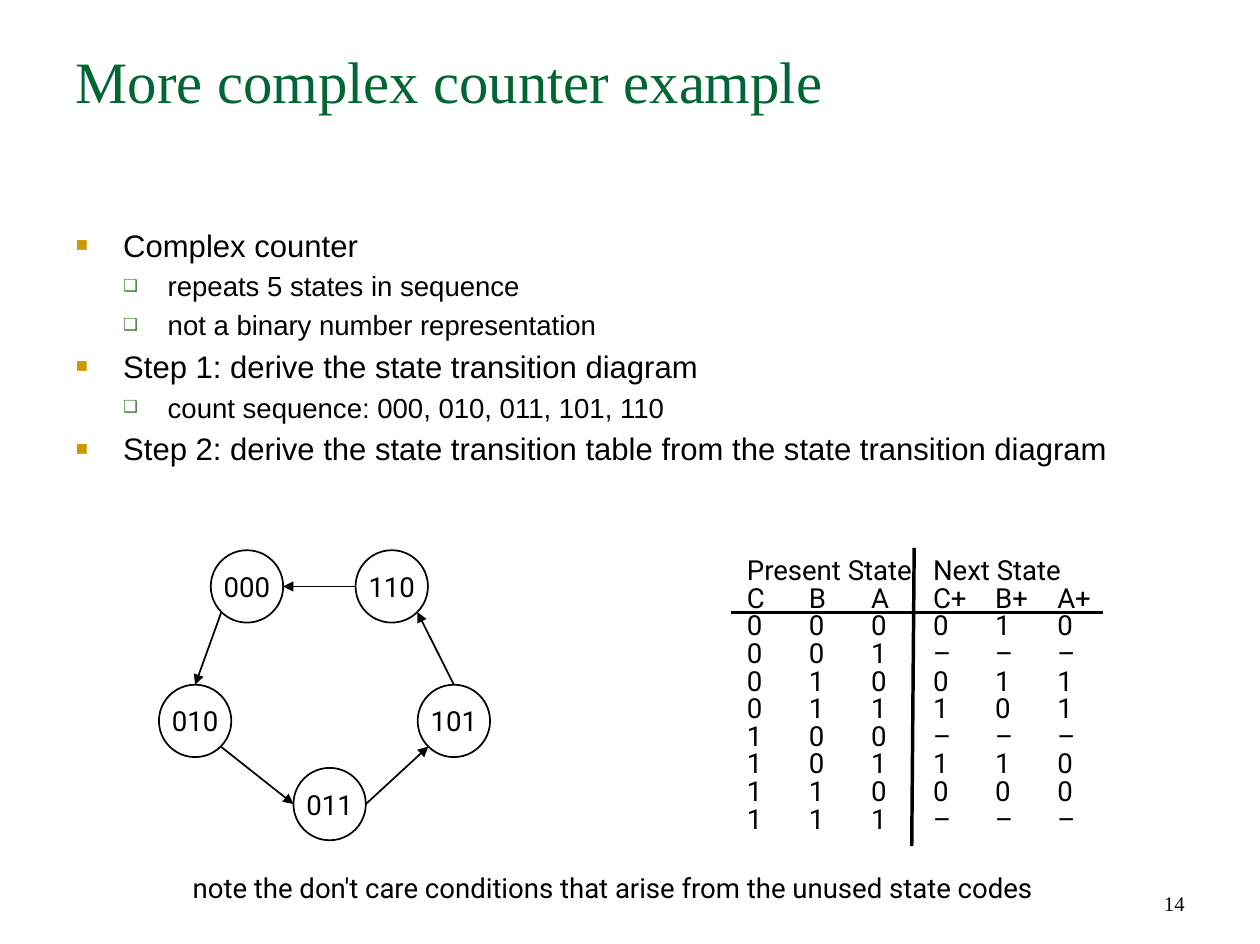
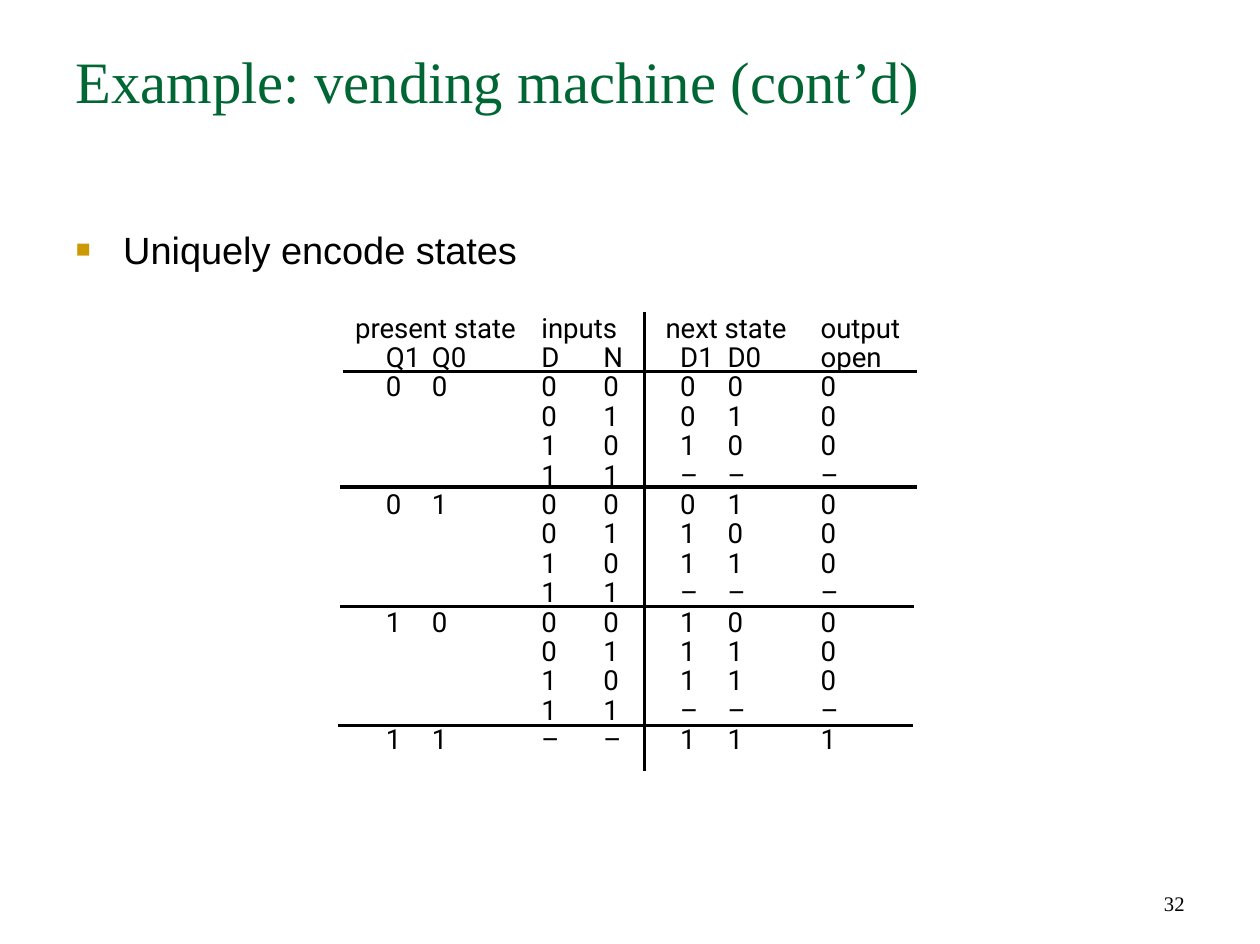
import math

import pptx
import pptx.dml.color
import pptx.enum.shapes
import pptx.enum.text
import pptx.oxml
import pptx.oxml.ns
import pptx.util

Cm, Pt = pptx.util.Cm, pptx.util.Pt
ALIGN = pptx.enum.text.PP_ALIGN
ANCHOR = pptx.enum.text.MSO_ANCHOR
NAMESPACE = pptx.oxml.ns.nsdecls("a")

BLACK = "000000"
TITLE_FONT = {"name": "Times New Roman", "size": Pt(34), "color": "006633"}
NUMBER_FONT = {"name": "Times New Roman", "size": Pt(12), "color": BLACK}
DIAGRAM_FONT = {"name": "Roboto", "size": Pt(16), "color": BLACK}
THIN_LINE = {"color": BLACK, "width": Pt(1)}
RULE_LINE = {"color": BLACK, "width": Pt(2)}
NO_TABLE_STYLE = "{2D5ABB26-0587-4C30-8999-92F81FD0307C}"

# level: left indent, hanging indent, bullet, its colour, its size in percent
BULLETS = [(Cm(0.97), Cm(-0.97), "■", "CC9900", 65),
           (Cm(1.88), Cm(-0.91), "❑", "3B812F", 60)]


def set_format(target, values):
    """Set attributes of a font, line, paragraph or frame; colours are hex strings."""
    for name, value in values.items():
        if name == "color":
            target.color.rgb = pptx.dml.color.RGBColor.from_string(value)
        else:
            setattr(target, name, value)


def write(paragraph, text, font, layout):
    set_format(paragraph, layout)
    run = paragraph.add_run()
    run.text = text
    set_format(run.font, font)


slides = [
    {
        "title": "More complex counter example",
        "number": "14",
        "bullets": [
            (0, 18, "Complex counter"),
            (1, 16, "repeats 5 states in sequence"),
            (1, 16, "not a binary number representation"),
            (0, 18, "Step 1: derive the state transition diagram"),
            (1, 16, "count sequence: 000, 010, 011, 101, 110"),
            (0, 18, "Step 2: derive the state transition table from the state transition diagram"),
        ],
        "table": {
            "top": 11.2, "lead": 0.24, "tail": 0.22, "pitch": Pt(16),
            "edges": [14.94, 16.21, 17.48, 18.68, 20.02, 21.29, 22.56],
            "starts": [15.27 + 1.27 * column for column in range(6)],
            # first column, last column, text start, heading
            "groups": [(0, 2, 15.27, "Present State"), (3, 5, 19.08, "Next State")],
            "rows": ["C,B,A,C+,B+,A+",
                     "0,0,0,0,1,0", "0,0,1,–,–,–", "0,1,0,0,1,1", "0,1,1,1,0,1",
                     "1,0,0,–,–,–", "1,0,1,1,1,0", "1,1,0,0,0,0", "1,1,1,–,–,–"],
            "rules": [(14.94, 12.52, 22.56, 12.52), (18.69, 11.2, 18.64, 17.3)],
        },
    },
    {
        "title": "Example: vending machine (cont’d)",
        "number": "32",
        "bullets": [(0, 22, "Uniquely encode states")],
        "table": {
            "top": 6.38, "lead": 0.07, "tail": 0.32, "pitch": Pt(17),
            "edges": [6.96, 8.7, 10.8, 12.07, 13.18, 14.75, 16.5, 18.72],
            "starts": [7.89, 8.83, 11.07, 12.34, 13.91, 14.88, 16.78],
            "groups": [(0, 1, 7.26, "present state"), (2, 3, 11.07, "inputs"),
                       (4, 5, 13.61, "next state"), (6, 6, 16.78, "output")],
            "rows": ["Q1,Q0,D,N,D1,D0,open",
                     "0,0,0,0,0,0,0", ",,0,1,0,1,0", ",,1,0,1,0,0", ",,1,1,–,–,–",
                     "0,1,0,0,0,1,0", ",,0,1,1,0,0", ",,1,0,1,1,0", ",,1,1,–,–,–",
                     "1,0,0,0,1,0,0", ",,0,1,1,1,0", ",,1,0,1,1,0", ",,1,1,–,–,–",
                     "1,1,–,–,1,1,1"],
            "rules": [(7.01, 7.59, 18.75, 7.59), (6.96, 9.96, 18.75, 9.96),
                      (6.96, 12.4, 18.69, 12.4), (6.91, 14.83, 18.67, 14.83),
                      (13.18, 6.38, 13.18, 15.77)],
        },
    },
]

presentation = pptx.Presentation()
presentation.slide_width, presentation.slide_height = Cm(25.76), Cm(19.3)
connectors = []  # slide, end points, line format, whether it has an arrowhead

for content in slides:
    slide = presentation.slides.add_slide(presentation.slide_layouts[6])

    # Title and slide number
    for text, box, font, anchor, alignment in [
        (content["title"], (1.3, 0.79, 23.16, 3.2), TITLE_FONT, ANCHOR.TOP, ALIGN.LEFT),
        (content["number"], (18.45, 17.54, 6.02, 1.3), NUMBER_FONT, ANCHOR.BOTTOM, ALIGN.RIGHT),
    ]:
        frame = slide.shapes.add_textbox(*map(Cm, box)).text_frame
        set_format(frame, {"word_wrap": True, "vertical_anchor": anchor})
        write(frame.paragraphs[0], text, font, {"alignment": alignment})

    # Bullets
    frame = slide.shapes.add_textbox(*map(Cm, (1.3, 4.5, 23.16, 12.75))).text_frame
    frame.word_wrap = True
    for index, (level, size, text) in enumerate(content["bullets"]):
        paragraph = frame.add_paragraph() if index else frame.paragraphs[0]
        left, hanging, bullet, color, percent = BULLETS[level]
        properties = paragraph._p.get_or_add_pPr()
        properties.set("marL", str(left))
        properties.set("indent", str(hanging))
        for element in [
            f'<a:buClr {NAMESPACE}><a:srgbClr val="{color}"/></a:buClr>',
            f'<a:buSzPct {NAMESPACE} val="{percent * 1000}"/>',
            f'<a:buFont {NAMESPACE} typeface="Arial"/>',
            f'<a:buChar {NAMESPACE} char="{bullet}"/>',
        ]:
            properties.append(pptx.oxml.parse_xml(element))
        write(paragraph, text, {"name": "Arial", "size": Pt(size), "color": BLACK},
              {"level": level, "space_before": Pt(3.4 if index else 0)})

    # State table
    state = content["table"]
    edges, pitch = state["edges"], state["pitch"]
    row_count, column_count = len(state["rows"]) + 1, len(edges) - 1
    heights = [pitch] * row_count
    heights[0] += Cm(state["lead"])
    heights[-1] += Cm(state["tail"])
    table = slide.shapes.add_table(
        row_count, column_count, Cm(edges[0]), Cm(state["top"]),
        Cm(edges[-1] - edges[0]), sum(heights)).table
    set_format(table, {"first_row": False, "horz_banding": False})
    table._tbl.tblPr.find(pptx.oxml.ns.qn("a:tableStyleId")).text = NO_TABLE_STYLE
    for row, height in zip(table.rows, heights):
        row.height = height
    for column, left, right in zip(table.columns, edges, edges[1:]):
        column.width = Cm(right - left)

    entries = {(0, first): (start, text) for first, last, start, text in state["groups"]}
    for row, line in enumerate(state["rows"], 1):
        for column, text in enumerate(line.split(",")):
            entries[row, column] = (state["starts"][column], text)

    for row in range(row_count):
        for column in range(column_count):
            cell = table.cell(row, column)
            start, text = entries.get((row, column), (edges[column], ""))
            set_format(cell, {
                "margin_left": Cm(start - edges[column]), "margin_right": 0,
                "margin_top": 0, "margin_bottom": 0,
                "vertical_anchor": ANCHOR.TOP if row else ANCHOR.BOTTOM})
            cell.fill.background()
            paragraph = cell.text_frame.paragraphs[0]
            if text:
                write(paragraph, text, DIAGRAM_FONT, {"line_spacing": pitch})
            else:  # a small size keeps an empty cell from stretching its row
                paragraph._p.append(pptx.oxml.parse_xml(f'<a:endParaRPr {NAMESPACE} sz="1000"/>'))
    for first, last, start, text in state["groups"]:
        if last > first:
            table.cell(0, first).merge(table.cell(0, last))
    connectors += [(slide, rule, RULE_LINE, False) for rule in state["rules"]]

# State transition diagram and note on the counter slide
slide = presentation.slides[0]
frame = slide.shapes.add_textbox(*map(Cm, (3.89, 17.63, 17.98, 1.07))).text_frame
set_format(frame, {"word_wrap": True, "margin_left": Cm(0.05), "margin_right": Cm(0.05),
                   "margin_top": Cm(0.08), "margin_bottom": Cm(0.08)})
write(frame.paragraphs[0], "note the don't care conditions that arise from the unused state codes",
      DIAGRAM_FONT, {"line_spacing": Pt(22)})

DIAMETER = 1.48
states = {"000": (4.31, 11.25), "010": (3.25, 14), "011": (6, 15.7),
          "101": (8.54, 14), "110": (7.27, 11.25)}
for code, (left, top) in states.items():
    circle = slide.shapes.add_shape(pptx.enum.shapes.MSO_SHAPE.OVAL, Cm(left), Cm(top),
                                    Cm(DIAMETER), Cm(DIAMETER))
    circle.shadow.inherit = False
    circle.fill.background()
    set_format(circle.line, THIN_LINE)
    set_format(circle.text_frame, {"word_wrap": False, "vertical_anchor": ANCHOR.MIDDLE})
    write(circle.text_frame.paragraphs[0], code, DIAGRAM_FONT, {"alignment": ALIGN.CENTER})

# Angles are degrees clockwise from the right-hand side of a circle
transitions = [("000", 135, "010", 270), ("010", 45, "011", 180), ("011", 0, "101", 135),
               ("101", 270, "110", 45), ("110", 180, "000", 0)]
for source, source_angle, target, target_angle in transitions:
    ends = []
    for code, angle in [(source, source_angle), (target, target_angle)]:
        left, top = states[code]
        ends += [left + DIAMETER / 2 * (1 + math.cos(math.radians(angle))),
                 top + DIAMETER / 2 * (1 + math.sin(math.radians(angle)))]
    connectors.append((slide, ends, THIN_LINE, True))

# Table rules and transition arrows
for slide, ends, line_format, has_arrowhead in connectors:
    connector = slide.shapes.add_connector(
        pptx.enum.shapes.MSO_CONNECTOR.STRAIGHT, *map(Cm, ends))
    set_format(connector.line, line_format)
    if has_arrowhead:
        connector.line._get_or_add_ln().append(
            pptx.oxml.parse_xml(f'<a:tailEnd {NAMESPACE} type="triangle"/>'))
    connector._element.spPr.append(pptx.oxml.parse_xml(f"<a:effectLst {NAMESPACE}/>"))

presentation.save("out.pptx")
